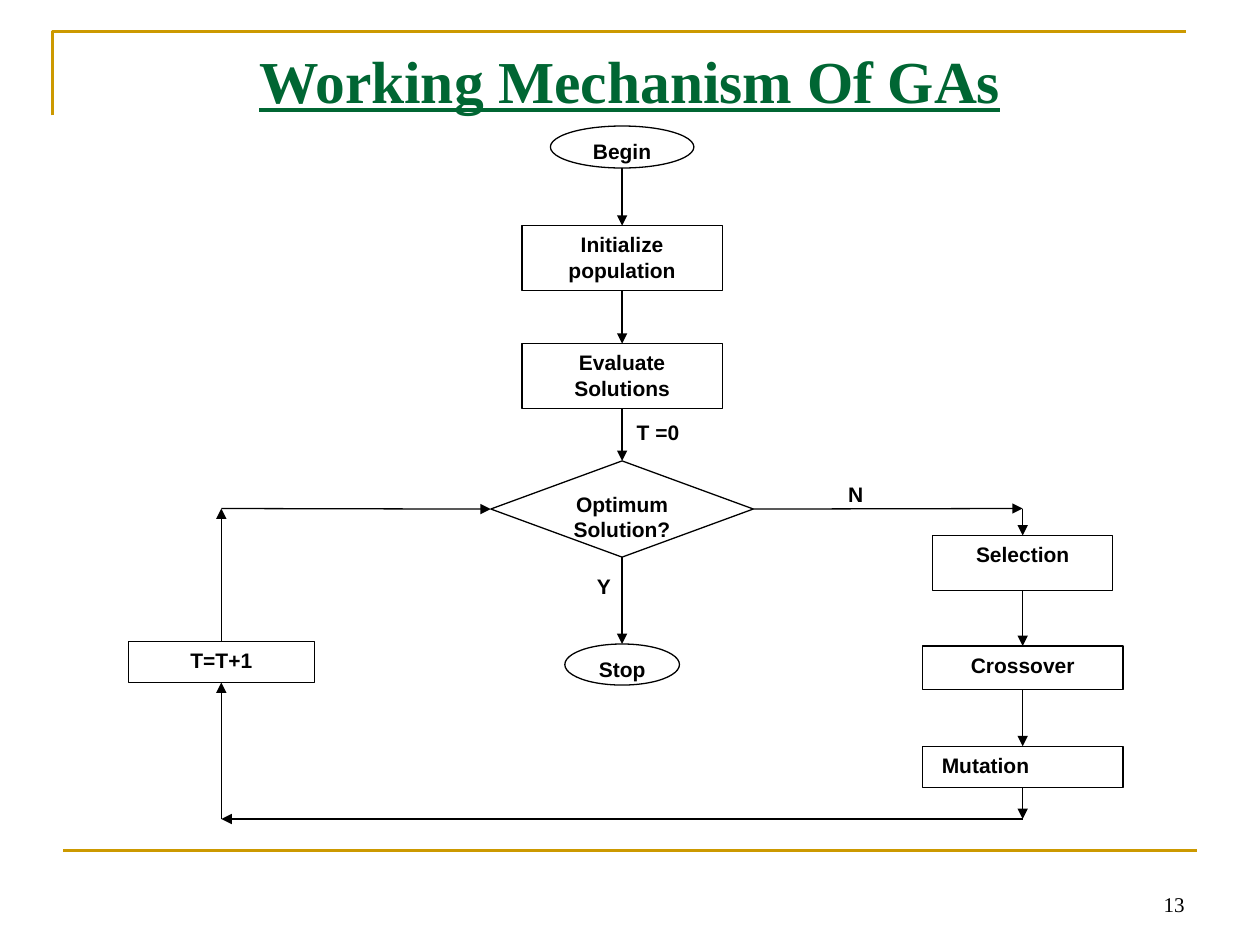
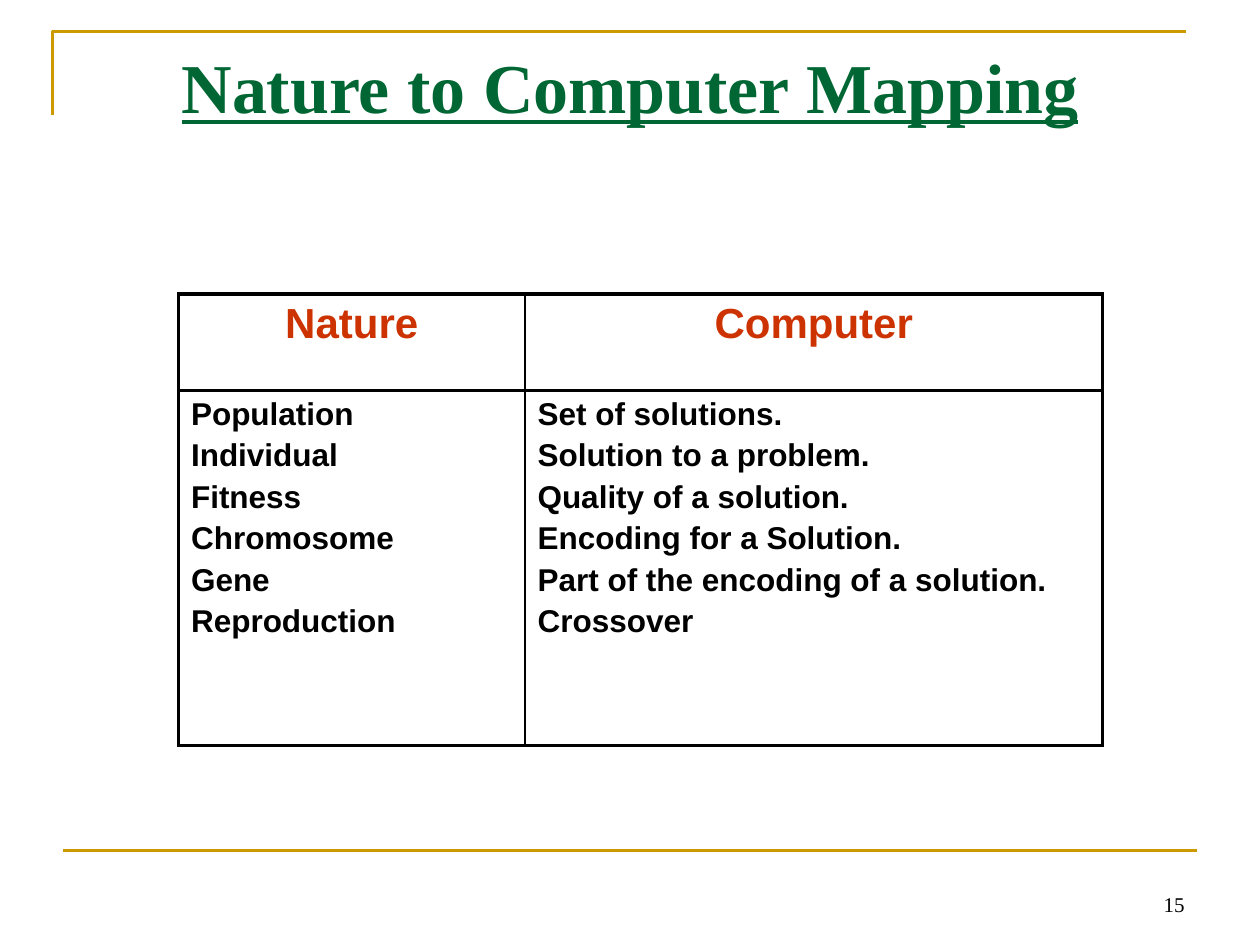
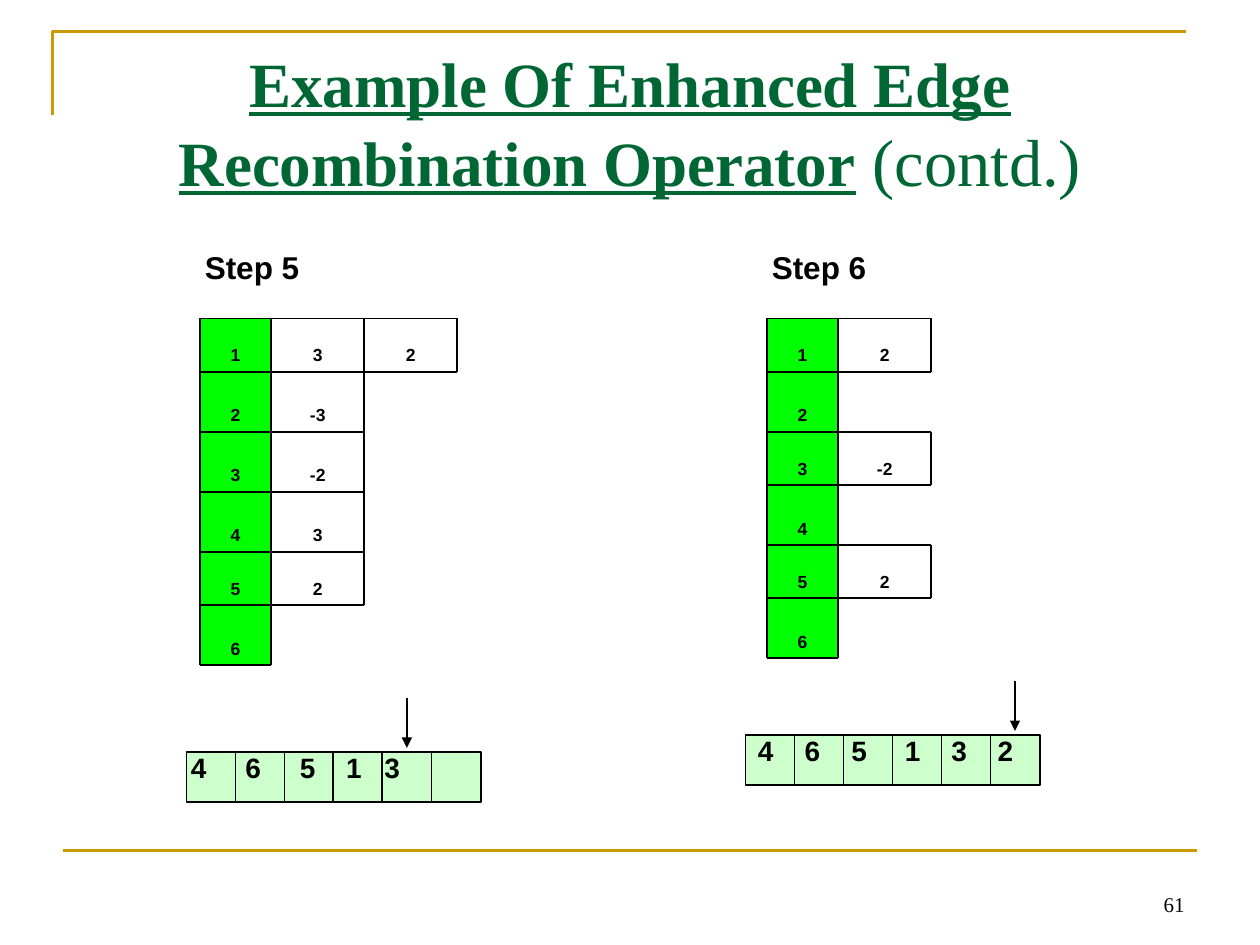
"""Build three slides on genetic algorithms: a flow chart, a table and edge lists."""
import itertools
import pptx
import pptx.util
import pptx.dml.color
import pptx.enum.shapes
import pptx.enum.text
import pptx.oxml
import pptx.oxml.ns
from lxml import etree

Pt = pptx.util.Pt
Kind = pptx.enum.shapes.MSO_SHAPE
Align = pptx.enum.text.PP_ALIGN
Anchor = pptx.enum.text.MSO_ANCHOR
qn = pptx.oxml.ns.qn
rgb = pptx.dml.color.RGBColor.from_string


class Theme:
    gold = rgb("CC9900")
    green = rgb("006633")
    red = rgb("CC3300")
    lime = rgb("00FF00")
    mint = rgb("CCFFCC")
    black = rgb("000000")
    white = rgb("FFFFFF")
    serif = "Times New Roman"
    sans = "Arial"
    tiny, small, gene, body, head = 10, 12, 16, 18, 24
    thin, mid, rule, thick = 0.75, 1, 1.5, 2.25


def put(page, kind, box, words="", size=Theme.small, fill=Theme.white, edge=Theme.thin,
        align=Align.CENTER, anchor=Anchor.TOP, bold=True, font=Theme.sans):
    spot = [Pt(n) for n in box]
    if kind is None:
        shape = page.shapes.add_textbox(*spot)
    else:
        shape = page.shapes.add_shape(kind, *spot)
        shape.shadow.inherit = False
        shape.fill.solid()
        shape.fill.fore_color.rgb = fill
        if edge:
            shape.line.color.rgb = Theme.black
            shape.line.width = Pt(edge)
        else:
            shape.line.fill.background()
    frame = shape.text_frame
    frame.word_wrap = True
    frame.vertical_anchor = anchor
    if words:
        para = frame.paragraphs[0]
        para.alignment = align
        run = para.add_run()
        run.text = words
        run.font.size = Pt(size)
        run.font.bold = bold
        run.font.name = font
        run.font.color.rgb = Theme.black
    return shape


def wire(page, start, end, color=Theme.black, width=Theme.thin, arrow=True):
    joins = [hasattr(tip[0], "shape_id") for tip in (start, end)]
    spots = [(0, 0) if join else tip for join, tip in zip(joins, (start, end))]
    link = page.shapes.add_connector(pptx.enum.shapes.MSO_CONNECTOR.STRAIGHT,
                                     *[Pt(n) for spot in spots for n in spot])
    if joins[0]:
        link.begin_connect(*start)
    if joins[1]:
        link.end_connect(*end)
    link.line.color.rgb = color
    link.line.width = Pt(width)
    props = link._element.spPr
    if arrow:
        etree.SubElement(props.find(qn("a:ln")), qn("a:tailEnd"), type="triangle")
    etree.SubElement(props, qn("a:effectLst"))


deck = pptx.Presentation()
deck.slide_width, deck.slide_height = Pt(720), Pt(540)

plans = [
    (13, [("Working Mechanism Of GAs", 34, True)]),
    (15, [("Nature to Computer Mapping", 40, True)]),
    (61, [("Example Of Enhanced Edge Recombination Operator", 36, True),
          (" (contd.)", 38, False)]),
]
pages = []
for number, title in plans:
    page = deck.slides.add_slide(deck.slide_layouts[6])
    pages.append(page)
    pen = page.shapes.build_freeform(Pt(30), Pt(66))
    pen.add_line_segments([(Pt(30), Pt(18)), (Pt(678), Pt(18))], close=False)
    corner = pen.convert_to_shape()
    corner.shadow.inherit = False
    corner.fill.background()
    corner.line.color.rgb = Theme.gold
    corner.line.width = Pt(Theme.rule)
    wire(page, (36, 486), (684, 486), Theme.gold, Theme.rule, False)
    put(page, None, (516, 491.5, 168, 36), str(number), align=Align.RIGHT,
        anchor=Anchor.BOTTOM, bold=False, font=Theme.serif)
    para = put(page, None, (36, 21.6, 648, 90)).text_frame.paragraphs[0]
    para.alignment = Align.CENTER
    for words, size, strong in title:
        run = para.add_run()
        run.text = words
        run.font.size = Pt(size)
        run.font.bold = run.font.underline = strong
        run.font.name = Theme.serif
        run.font.color.rgb = Theme.green

flow, table, edges = pages

left, center, right = 126.5, 355.5, 584.4
level, base = 290.6, 468
nodes = {}
for name, kind, mid, top, wide, high, words in [
    ("begin", Kind.FLOWCHART_CONNECTOR, center, 72, 82, 24, "Begin"),
    ("init", Kind.FLOWCHART_PROCESS, center, 129, 114.5, 37.2, "Initialize population"),
    ("rate", Kind.FLOWCHART_PROCESS, center, 196.4, 114.5, 37.2, "Evaluate Solutions"),
    ("test", Kind.FLOWCHART_DECISION, center, 263.4, 150, 55, "Optimum Solution?"),
    ("stop", Kind.FLOWCHART_CONNECTOR, center, 368, 65.5, 23.5, "Stop"),
    ("count", Kind.FLOWCHART_PROCESS, left, 366.5, 106.5, 23.5, "T=T+1"),
    ("pick", Kind.FLOWCHART_PROCESS, right, 306, 103, 31.5, "Selection"),
    ("cross", Kind.FLOWCHART_PROCESS, right, 369.2, 114.5, 25, "Crossover"),
    ("mutate", Kind.FLOWCHART_PROCESS, right, 426.5, 114.5, 23.5, "Mutation"),
]:
    nodes[name] = put(flow, kind, (mid - wide / 2, top, wide, high), words)
frame = nodes["mutate"].text_frame
frame.margin_left = Pt(11)
frame.paragraphs[0].alignment = Align.LEFT

for start, end in [
    ((center, 96), (nodes["init"], 0)),
    ((nodes["init"], 2), (nodes["rate"], 0)),
    ((nodes["rate"], 2), (nodes["test"], 0)),
    ((nodes["test"], 2), (nodes["stop"], 0)),
    ((nodes["test"], 3), (right, level)),
    ((right, level), (nodes["pick"], 0)),
    ((nodes["pick"], 2), (nodes["cross"], 0)),
    ((nodes["cross"], 2), (nodes["mutate"], 0)),
    ((nodes["mutate"], 2), (right, base)),
    ((right, base), (left, base)),
    ((left, base), (nodes["count"], 2)),
    ((nodes["count"], 0), (left, level)),
    ((left, level), (nodes["test"], 1)),
]:
    wire(flow, start, end)
for words, x, y in [("T =0", 349, 236.4), ("N", 462, 271.6), ("Y", 318, 324.4)]:
    put(flow, None, (x, y, 54, 22), words)

columns = [
    (198, "Nature", ["Population", "Individual", "Fitness", "Chromosome", "Gene",
                     "Reproduction"]),
    (330, "Computer", ["Set of solutions.", "Solution to a problem.",
                       "Quality of a solution.", "Encoding for a Solution.",
                       "Part of the encoding of a solution.", "Crossover"]),
]
grid = table.shapes.add_table(2, 2, Pt(102), Pt(168), Pt(528), Pt(258)).table
grid.first_row = grid.horz_banding = False
grid.rows[0].height, grid.rows[1].height = Pt(55), Pt(203)
for col, (wide, head, lines) in enumerate(columns):
    grid.columns[col].width = Pt(wide)
    for row, texts in enumerate([[head], lines]):
        cell = grid.cell(row, col)
        props = cell._tc.get_or_add_tcPr()
        sides = {"L": Theme.mid if col else Theme.thick,
                 "R": Theme.thick if col else Theme.mid,
                 "T": Theme.thick, "B": Theme.thick}
        for side, width in sides.items():
            line = etree.SubElement(props, qn("a:ln" + side), w=str(Pt(width)))
            paint = etree.SubElement(line, qn("a:solidFill"))
            etree.SubElement(paint, qn("a:srgbClr"), val=str(Theme.black))
        cell.fill.background()
        for i, words in enumerate(texts):
            para = cell.text_frame.add_paragraph() if i else cell.text_frame.paragraphs[0]
            para.alignment = Align.LEFT if row else Align.CENTER
            if i:
                para.space_before = Pt(3.6)
            run = para.add_run()
            run.text = words
            run.font.size = Pt(Theme.body if row else Theme.head)
            run.font.bold = True
            run.font.name = Theme.sans
            run.font.color.rgb = Theme.black if row else Theme.red

low, tall = 30.4, 34.3
key, slot = 40.7, 53.2
pitch = 28
steps = [
    ("Step 5", 114.2, [(low, ["3", "2"]), (tall, ["-3"]), (tall, ["-2"]), (tall, ["3"]),
                       (low, ["2"]), (tall, [])],
     (106.5, 429.8), 102, "46513", [31.1, 62.3, 88.7, 110.6]),
    ("Step 6", 438.2, [(low, ["2"]), (tall, []), (low, ["-2"]), (tall, []),
                       (low, ["2"]), (tall, [])],
     (426, 420.2), 426, "465132", [26.7, 53.4, 84, 110.6, 137]),
]
for name, x, rows, (strip, top), text, genes, stops in steps:
    put(edges, None, (x - 36.2, 137.9, 132, 29), name, Theme.body)
    counts = [len(links) for high, links in rows]
    marks = list(itertools.accumulate([high for high, links in rows], initial=182))
    for i, (high, links) in enumerate(rows):
        for j, words in enumerate(links):
            put(edges, None, (x + key + j * slot, marks[i], slot, high), words,
                Theme.tiny, anchor=Anchor.BOTTOM)
        put(edges, Kind.RECTANGLE, (x, marks[i], key, high), str(i + 1), Theme.tiny,
            Theme.lime, 0, anchor=Anchor.BOTTOM)
    rules = [((x, marks[0]), (x, marks[-1])), ((x + key, marks[0]), (x + key, marks[-1]))]
    for y, above, below in zip(marks, [0] + counts, counts + [0]):
        rules.append(((x, y), (x + key + max(above, below) * slot, y)))
    for j in range(max(counts)):
        side = x + key + (j + 1) * slot
        for full, group in itertools.groupby(range(6), lambda i: counts[i] > j):
            span = list(group)
            if full:
                rules.append(((side, marks[span[0]]), (side, marks[span[-1] + 1])))
    for start, end in rules:
        wire(edges, start, end, width=Theme.mid, arrow=False)
    for i in range(6):
        put(edges, Kind.RECTANGLE, (strip + i * pitch, top, 28.5, 28.5), fill=Theme.mint,
            edge=Theme.mid)
    tip = strip + (len(genes) - 0.5) * pitch
    wire(edges, (tip, top - 31), (tip, top - 2.5))
    label = put(edges, None, (text, top - 4.6, 180, 43), "\t".join(genes), Theme.gene,
                align=Align.LEFT)
    props = label.text_frame.paragraphs[0]._p.get_or_add_pPr()
    tabs = etree.SubElement(props, qn("a:tabLst"))
    for stop in stops:
        etree.SubElement(tabs, qn("a:tab"), pos=str(Pt(stop)), algn="l")

deck.save("out.pptx")
